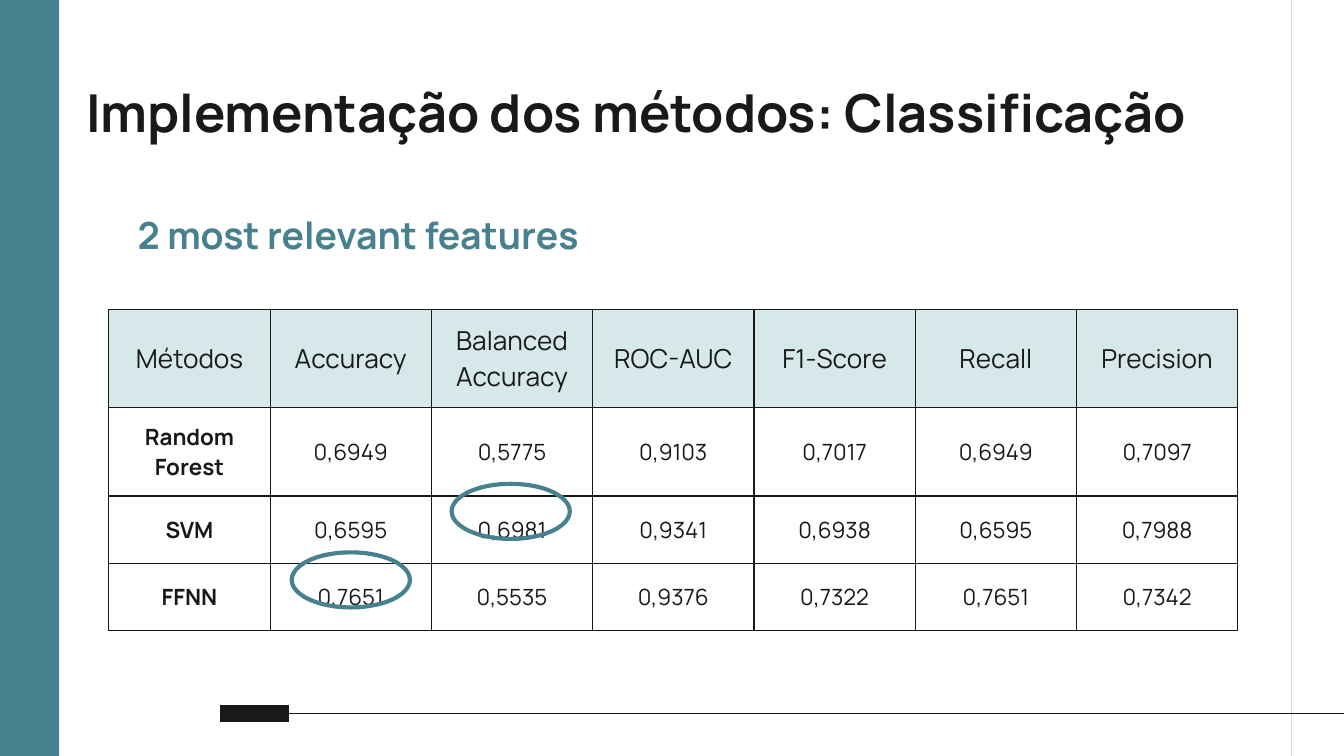
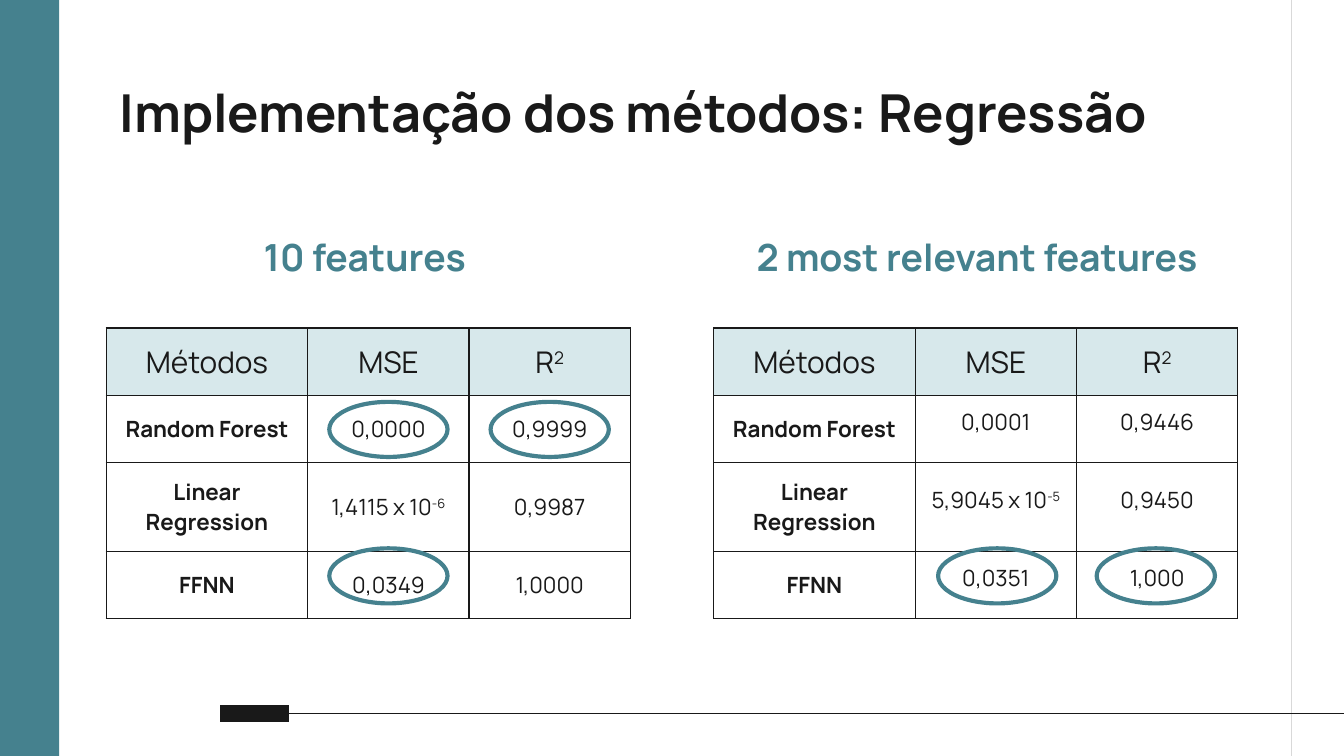
from lxml import etree
from pptx import Presentation
from pptx.dml.color import RGBColor
from pptx.enum.shapes import MSO_CONNECTOR, MSO_SHAPE
from pptx.enum.text import MSO_ANCHOR, MSO_AUTO_SIZE, PP_ALIGN
from pptx.oxml.ns import qn
from pptx.util import Pt

PX = 9144  # EMU per px, 100 px to the inch
WIDTH = 1000
FONT = "Manrope"
COLORS = {"teal": "45818E", "pale": "D7E8EB", "ink": "191919", "rule": "D9D9D9"}
LEFT, CENTER = PP_ALIGN.LEFT, PP_ALIGN.CENTER
TOP, MIDDLE = MSO_ANCHOR.TOP, MSO_ANCHOR.MIDDLE
NO_FIT = MSO_AUTO_SIZE.NONE
STRAIGHT = MSO_CONNECTOR.STRAIGHT
RECTANGLE, OVAL = MSO_SHAPE.RECTANGLE, MSO_SHAPE.OVAL
TITLE_ONLY = 5

ROW_HEIGHT = 50
METRIC_WIDTH = 120
RING_SIZE = (88, 41)


def emu(*lengths):
    return [length * PX for length in lengths]


def rgb(name):
    return RGBColor.from_string(COLORS[name])


def write(frame, text, size=12, color="ink", bold=False, align=CENTER, spacing=None):
    """Fill a text frame; whatever follows a ^ is set as superscript."""
    paragraph = frame.paragraphs[0]
    paragraph.alignment = align
    if spacing:
        paragraph.line_spacing = Pt(spacing)
    for level, part in enumerate(text.split("^")):
        run = paragraph.add_run()
        run.text = part
        run.font.name = FONT
        run.font.size = Pt(size)
        run.font.bold = bold
        run.font.color.rgb = rgb(color)
        if level:
            run.font._element.set("baseline", "30000")


def border(cell, color="ink", width=0.75):
    properties = cell._tc.get_or_add_tcPr()
    for position, side in enumerate(("lnL", "lnR", "lnT", "lnB")):
        line = etree.Element(qn(f"a:{side}"), w=str(Pt(width)))
        fill = etree.SubElement(line, qn("a:solidFill"))
        etree.SubElement(fill, qn("a:srgbClr"), val=COLORS[color])
        properties.insert(position, line)


class Deck:
    def __init__(self):
        self.presentation = Presentation()
        self.presentation.slide_width = WIDTH * PX
        self.presentation.slide_height = WIDTH * PX * 9 // 16
        self.layout = self.presentation.slide_layouts[TITLE_ONLY]
        self.slide = None

    def add_slide(self, title, left, width):
        first = self.slide is None
        self.slide = self.presentation.slides.add_slide(self.layout)
        if first:
            self.furnish_layout()
        heading = self.slide.shapes.title
        heading.left, heading.top, heading.width, heading.height = emu(left, 50, width, 63)
        frame = heading.text_frame
        frame.word_wrap = True
        frame.auto_size = NO_FIT
        frame.vertical_anchor = TOP
        frame.margin_left = frame.margin_right = 10 * PX
        frame.margin_top = frame.margin_bottom = 10 * PX
        write(frame, title, size=28, bold=True, align=LEFT)

    def furnish_layout(self):
        """Draw the band and rules once and move them to the shared layout."""
        furniture = [
            self.shape(RECTANGLE, 0, 0, 44, 563, fill="teal"),
            self.line(961, -4, 961, 566, color="rule"),
            self.line(164, 531, 215, 531, width=9),
            self.line(215, 531, 1006, 531),
        ]
        for item in furniture:
            self.layout.shapes._spTree.append(item._element)

    def shape(self, kind, left, top, width, height, fill=None, outline=None):
        shape = self.slide.shapes.add_shape(kind, *emu(left, top, width, height))
        shape.shadow.inherit = False
        if fill:
            shape.fill.solid()
            shape.fill.fore_color.rgb = rgb(fill)
        else:
            shape.fill.background()
        if outline:
            shape.line.color.rgb = rgb(outline)
            shape.line.width = Pt(2.25)
        else:
            shape.line.fill.background()
        return shape

    def line(self, x1, y1, x2, y2, color="ink", width=0.75):
        line = self.slide.shapes.add_connector(STRAIGHT, *emu(x1, y1, x2, y2))
        line.line.color.rgb = rgb(color)
        line.line.width = Pt(width)
        etree.SubElement(line._element.spPr, qn("a:effectLst"))
        return line

    def subtitle(self, text, left, top, width):
        box = self.slide.shapes.add_textbox(*emu(left, top, width, 44))
        box.text_frame.word_wrap = True
        write(box.text_frame, text, size=20, color="teal", bold=True)

    def rings(self, *corners):
        """Mark the best results."""
        for left, top in corners:
            self.shape(OVAL, left, top, *RING_SIZE, outline="teal")

    def results(self, rows, left, top, method_width, header_size, margin=10, spacing=None):
        """Add a results table; margin and spacing apply to its values."""
        widths = [method_width] + [METRIC_WIDTH] * (len(rows[0]) - 1)
        table = self.slide.shapes.add_table(
            len(rows), len(widths),
            *emu(left, top, sum(widths), ROW_HEIGHT * len(rows))).table
        table.first_row = table.horz_banding = False
        for column, width in zip(table.columns, widths):
            column.width = width * PX
        for r, row in enumerate(rows):
            for c, text in enumerate(row):
                cell = table.cell(r, c)
                header, value = r == 0, r > 0 and c > 0
                inset = (margin if value else 10) * PX
                cell.margin_left = cell.margin_right = inset
                cell.margin_top = cell.margin_bottom = inset
                cell.vertical_anchor = MIDDLE
                if header:
                    cell.fill.solid()
                    cell.fill.fore_color.rgb = rgb("pale")
                else:
                    cell.fill.background()
                border(cell)
                write(cell.text_frame, text, size=header_size if header else 12,
                      bold=not header and not value,
                      spacing=spacing if value else None)


def classification(deck):
    deck.add_slide("Implementação dos métodos: Classificação", 54, 903)
    deck.results([
        ["Métodos", "Accuracy", "Balanced Accuracy", "ROC-AUC", "F1-Score", "Recall", "Precision"],
        ["Random Forest", "0,6949", "0,5775", "0,9103", "0,7017", "0,6949", "0,7097"],
        ["SVM", "0,6595", "0,6981", "0,9341", "0,6938", "0,6595", "0,7988"],
        ["FFNN", "0,7651", "0,5535", "0,9376", "0,7322", "0,7651", "0,7342"],
    ], 81, 230, method_width=120, header_size=14)
    deck.subtitle("2 most relevant features", 81, 153, 371)
    deck.rings((217, 411), (336, 360))


def regression(deck):
    deck.add_slide("Implementação dos métodos: Regressão", 79, 843)
    header = ["Métodos", "MSE", "R^2"]
    deck.results([
        header,
        ["Random Forest", "0,0000", "0,9999"],
        ["Linear Regression", "1,4115 x 10^-6", "0,9987"],
        ["FFNN", "0,0349", "1,0000"],
    ], 79, 244, method_width=150, header_size=16)
    deck.results([
        header,
        ["Random Forest", "0,0001", "0,9446"],
        ["Linear Regression", "5,9045 x 10^-5", "0,9450"],
        ["FFNN", "0,0351", "1,000"],
    ], 531, 244, method_width=150, header_size=16, margin=7, spacing=9)
    deck.subtitle("10 features", 79, 169, 385)
    deck.subtitle("2 most relevant features", 536, 169, 382)
    deck.rings((245, 299), (365, 299), (245, 408), (698, 408), (816, 408))


def main():
    deck = Deck()
    classification(deck)
    regression(deck)
    deck.presentation.save("out.pptx")


if __name__ == "__main__":
    main()
